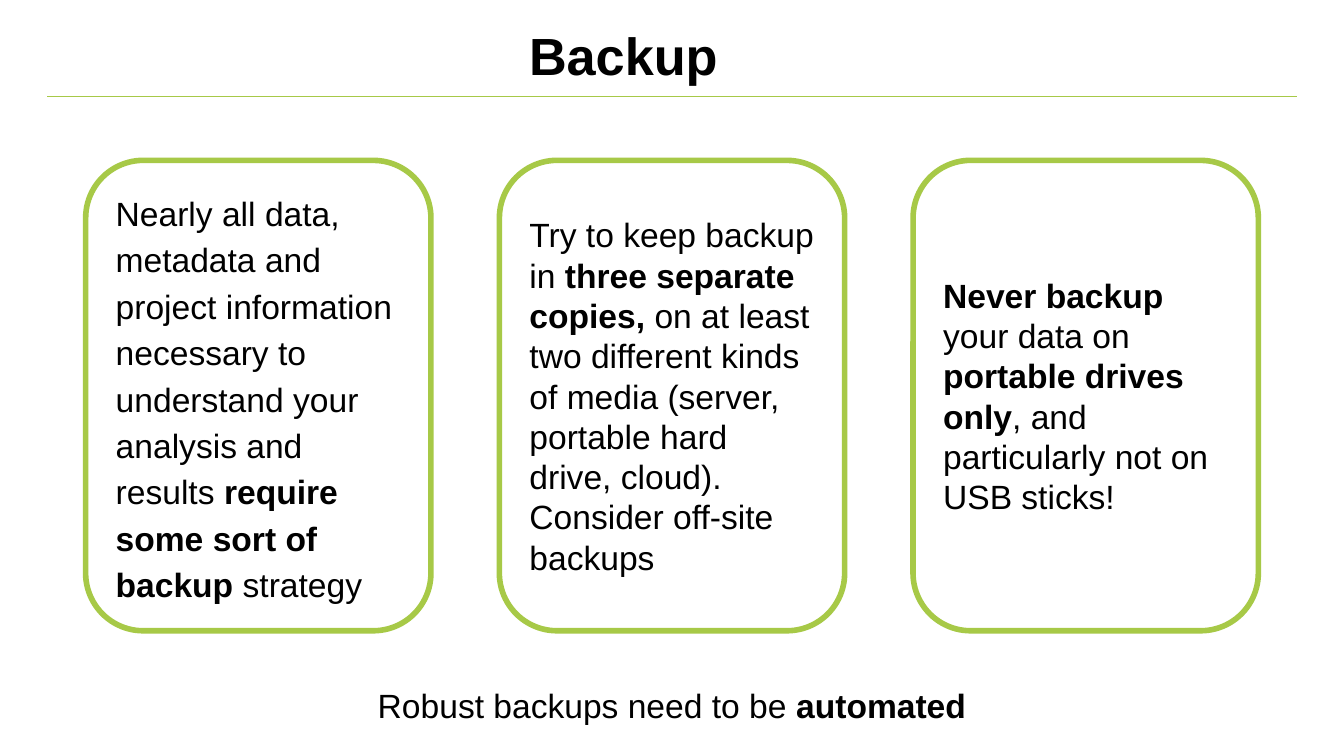
from lxml.etree import SubElement
from pptx import Presentation
from pptx.dml.color import RGBColor
from pptx.enum.shapes import MSO_CONNECTOR, MSO_SHAPE
from pptx.enum.text import MSO_ANCHOR, MSO_AUTO_SIZE, PP_ALIGN
from pptx.oxml.ns import qn
from pptx.util import Emu, Pt

PX = 5715  # EMU per px, 160 px to the inch
SLIDE_W, SLIDE_H = 1600, 900
FONT = "Arial"
GREEN = RGBColor(0xA7, 0xC9, 0x47)
WHITE = RGBColor(0xFF, 0xFF, 0xFF)
BLACK = RGBColor(0x00, 0x00, 0x00)

# Each card: line spacing and its (text, bold) runs
CARDS = [
    (1.15, [
        ("Nearly all data, metadata and project information necessary to "
         "understand your analysis and results ", False),
        ("require some sort of backup ", True),
        ("strategy", False),
    ]),
    (1.0, [
        ("Try to keep backup in ", False),
        ("three separate copies,", True),
        (" on at least two different kinds of media (server, portable hard "
         "drive, cloud). Consider off-site backups", False),
    ]),
    (1.0, [
        ("Never backup", True),
        (" your data on ", False),
        ("portable drives only", True),
        (", and particularly not on USB sticks!", False),
    ]),
]


def px(*lengths):
    return [Emu(round(length * PX)) for length in lengths]


def write(shape, runs, size=18, align=PP_ALIGN.LEFT, anchor=MSO_ANCHOR.MIDDLE,
          line_spacing=1.0, inset_x=16, inset_y=16):
    """Fill the shape with one paragraph of (text, bold) runs."""
    frame = shape.text_frame
    frame.word_wrap = True
    frame.auto_size = MSO_AUTO_SIZE.NONE
    frame.vertical_anchor = anchor
    frame.margin_left, frame.margin_right = px(inset_x, inset_x)
    frame.margin_top, frame.margin_bottom = px(inset_y, inset_y)
    paragraph = frame.paragraphs[0]
    paragraph.alignment = align
    paragraph.line_spacing = line_spacing
    for text, bold in runs:
        run = paragraph.add_run()
        run.text = text
        run.font.name = FONT
        run.font.size = Pt(size)
        run.font.bold = bold
        run.font.color.rgb = BLACK


def add_header(slide, left, top, width, height):
    """Place the title, with a rule along the bottom of the box."""
    bottom = top + height
    rule = slide.shapes.add_connector(
        MSO_CONNECTOR.STRAIGHT, *px(left, bottom, left + width, bottom))
    rule.line.color.rgb = GREEN
    rule.line.width = Pt(1)
    SubElement(rule._element.spPr, qn("a:effectLst"))

    title = slide.shapes.title
    title.left, title.top, title.width, title.height = px(
        left + 210, top, 952, height - 8)
    write(title, [("Backup", True)], size=28, align=PP_ALIGN.CENTER)


def add_card(slide, left, top, width, height, runs, line_spacing):
    card = slide.shapes.add_shape(
        MSO_SHAPE.ROUNDED_RECTANGLE, *px(left, top, width, height))
    card.shadow.inherit = False
    card.fill.solid()
    card.fill.fore_color.rgb = WHITE
    card.line.color.rgb = GREEN
    card.line.width = Pt(3)
    write(card, runs, line_spacing=line_spacing)


def add_card_row(slide, left, top, width, height, card_width=411):
    step = (width - card_width) / (len(CARDS) - 1)
    for column, (line_spacing, runs) in enumerate(CARDS):
        add_card(slide, left + column * step, top, card_width, height,
                 runs, line_spacing)


def add_conclusion(slide, left, top, width, height):
    conclusion = slide.shapes.add_textbox(*px(left, top, width, height))
    write(conclusion,
          [("Robust backups need to be ", False), ("automated", True)],
          anchor=MSO_ANCHOR.TOP, inset_y=8)


def main():
    presentation = Presentation()
    presentation.slide_width, presentation.slide_height = px(SLIDE_W, SLIDE_H)
    title_only = presentation.slide_layouts[5]
    slide = presentation.slides.add_slide(title_only)
    add_header(slide, 56, 24, 1488, 91)
    add_conclusion(slide, 434, 807, 784, 64)
    add_card_row(slide, 102, 191, 1396, 560)
    presentation.save("out.pptx")


if __name__ == "__main__":
    main()
